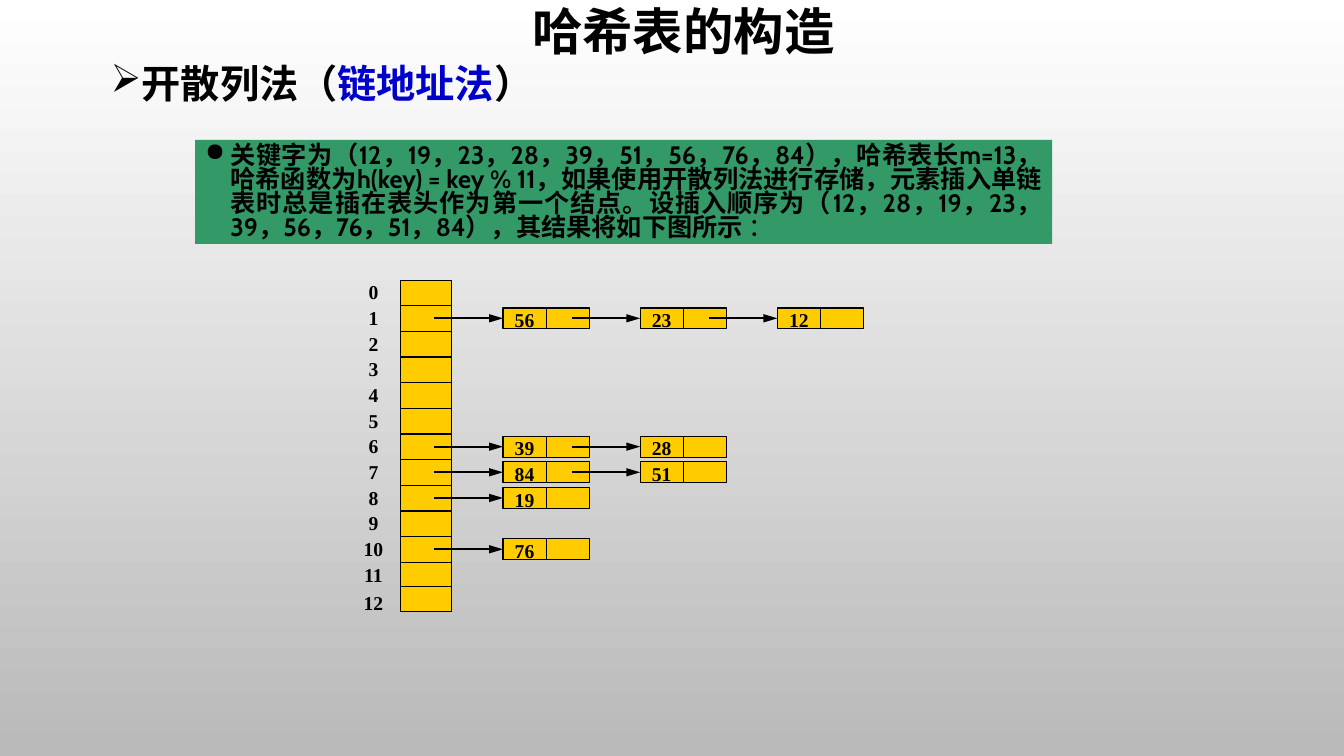
"""Build the slide on hash tables with separate chaining."""
from dataclasses import dataclass, field
from typing import Any

from lxml.etree import SubElement
from pptx import Presentation
from pptx.dml.color import RGBColor
from pptx.dml.fill import FillFormat
from pptx.enum.shapes import MSO_CONNECTOR as Connector, MSO_SHAPE as Preset
from pptx.enum.text import MSO_ANCHOR as Anchor, PP_ALIGN as Align
from pptx.oxml.ns import qn
from pptx.slide import Slide
from pptx.text.text import TextFrame
from pptx.util import Pt

BLACK, BLUE, GREEN, GOLD = "000000", "0000CC", "339966", "FFCC00"
NO_INSETS = dict.fromkeys(
    ("margin_left", "margin_top", "margin_right", "margin_bottom"), Pt(0))
HEADING = {"name": "Cabin", "size": Pt(36), "bold": True}
SUBHEADING = HEADING | {"size": Pt(28)}
EXAMPLE = HEADING | {"size": Pt(18)}
NUMBER = {"name": "Times New Roman", "size": Pt(14), "bold": True}

SLOT_LEFT, SLOT_TOP, SLOT_PITCH = 285.84, 200.16, 18.33
SLOT_WIDTH, SLOT_HEIGHT, LABEL_LEFT = 36.72, 18, 248.4
LAST_SLOT, LAST_SLOT_TOP, LAST_LABEL_TOP = 12, 419, 421.9
NODE_LEFT, NODE_PITCH, NODE_DROP = 359.28, 98, 1.5
HALF_WIDTH, HALF_HEIGHT = 30.8, 15
ARROW_LEFT, ARROW_LENGTH, ARROW_DROP = 310.3, 49, 8.9
CHAINS = {1: (56, 23, 12), 6: (39, 28), 7: (84, 51), 8: (19,), 10: (76,)}


@dataclass
class Box:
    left: float
    top: float
    width: float
    height: float

    def lengths(self) -> list[Pt]:
        return [Pt(v) for v in (self.left, self.top, self.width, self.height)]


@dataclass
class Words:
    text: str
    font: dict[str, Any]
    colour: str = BLACK


@dataclass
class Passage:
    words: list[Words]
    paragraph: dict[str, Any] = field(
        default_factory=lambda: {"alignment": Align.CENTER})
    frame: dict[str, Any] = field(default_factory=lambda: NO_INSETS)
    bullet: str = ""


def rgb(value: str) -> RGBColor:
    return RGBColor.from_string(value)


def paint(fill: FillFormat, value: str) -> None:
    fill.solid()
    fill.fore_color.rgb = rgb(value)


def apply(target: Any, formats: dict[str, Any]) -> None:
    for name, value in formats.items():
        setattr(target, name, value)


def write(frame: TextFrame, passage: Passage) -> None:
    apply(frame, {"word_wrap": True, "vertical_anchor": Anchor.TOP} | passage.frame)
    paragraph = frame.paragraphs[0]
    if passage.bullet:
        properties = paragraph._p.get_or_add_pPr()
        properties.set("marL", str(Pt(18)))
        properties.set("indent", str(Pt(-18)))
        tint = SubElement(properties, qn("a:buClr"))
        SubElement(tint, qn("a:srgbClr"), val=BLACK)
        SubElement(properties, qn("a:buChar"), char=passage.bullet)
    apply(paragraph, passage.paragraph)
    for words in passage.words:
        run = paragraph.add_run()
        run.text = words.text
        apply(run.font, words.font)
        paint(run.font.fill, words.colour)


def add_text(slide: Slide, box: Box, passage: Passage) -> None:
    write(slide.shapes.add_textbox(*box.lengths()).text_frame, passage)


def add_panel(slide: Slide, box: Box, colour: str, outlined: bool = True,
              passage: Passage | None = None) -> None:
    panel = slide.shapes.add_shape(Preset.RECTANGLE, *box.lengths())
    panel.shadow.inherit = False
    paint(panel.fill, colour)
    if outlined:
        paint(panel.line.fill, BLACK)
        panel.line.width = Pt(0.75)
    else:
        panel.line.fill.background()
    if passage:
        write(panel.text_frame, passage)


def add_pointer(slide: Slide, left: float, y: float) -> None:
    pointer = slide.shapes.add_connector(
        Connector.STRAIGHT, Pt(left), Pt(y), Pt(left + ARROW_LENGTH), Pt(y))
    paint(pointer.line.fill, BLACK)
    pointer.line.width = Pt(1.5)
    properties = pointer.element.spPr
    SubElement(properties.find(qn("a:ln")), qn("a:tailEnd"),
               type="triangle", w="med", len="lg")
    SubElement(properties, qn("a:effectLst"))


def number(value: int) -> Passage:
    return Passage([Words(str(value), NUMBER)])


def draw_table(slide: Slide) -> None:
    for index in range(LAST_SLOT + 1):
        slot_top = label_top = SLOT_TOP + index * SLOT_PITCH
        if index == LAST_SLOT:
            slot_top, label_top = LAST_SLOT_TOP, LAST_LABEL_TOP
        add_text(slide, Box(LABEL_LEFT, label_top, SLOT_WIDTH, SLOT_HEIGHT),
                 number(index))
        add_panel(slide, Box(SLOT_LEFT, slot_top, SLOT_WIDTH, SLOT_HEIGHT), GOLD)


def draw_chain(slide: Slide, index: int, keys: tuple[int, ...]) -> None:
    slot_top = SLOT_TOP + index * SLOT_PITCH
    for place, key in enumerate(keys):
        left = NODE_LEFT + place * NODE_PITCH
        for half, passage in enumerate((number(key), None)):
            add_panel(slide, Box(left + half * HALF_WIDTH, slot_top + NODE_DROP,
                                 HALF_WIDTH, HALF_HEIGHT), GOLD, passage=passage)
    for place in range(len(keys)):
        add_pointer(slide, ARROW_LEFT + place * NODE_PITCH, slot_top + ARROW_DROP)


def draw_background(slide: Slide) -> None:
    backdrop = slide.background.fill
    backdrop.gradient()
    backdrop.gradient_angle = 270
    for stop, shade, position in zip(
            backdrop.gradient_stops, ("FFFFFF", "B9B9B9"), (0, 1)):
        stop.color.rgb = rgb(shade)
        stop.position = position


def main() -> None:
    deck = Presentation()
    apply(deck, {"slide_width": Pt(960), "slide_height": Pt(540)})
    slide = deck.slides.add_slide(deck.slide_layouts[6])
    draw_background(slide)
    add_text(slide, Box(80, 0.7, 816, 48.2), Passage(
        [Words("哈希表的构造", HEADING)],
        {"alignment": Align.CENTER, "line_spacing": 0.9},
        {"vertical_anchor": Anchor.MIDDLE}))
    add_text(slide, Box(72, 32.4, 816, 489), Passage(
        [Words("开散列法（", SUBHEADING), Words("链地址法", SUBHEADING, BLUE),
         Words("）", SUBHEADING)],
        {"alignment": Align.LEFT, "line_spacing": 1.2}, {}, "➢"))
    add_panel(slide, Box(139.5, 100, 612, 74.2), GREEN, False, Passage(
        [Words("关键字为（12，19，23，28，39，51，56，76，84），哈希表长m=13，"
               "哈希函数为h(key) = key % 11，如果使用开散列法进行存储，"
               "元素插入单链表时总是插在表头作为第一个结点。"
               "设插入顺序为（12，28，19，23，39，56，76，51，84），"
               "其结果将如下图所示", EXAMPLE),
         Words(" ：", EXAMPLE | {"bold": False})],
        {"alignment": Align.JUSTIFY, "line_spacing": 0.8}, {}, "●"))
    draw_table(slide)
    for index, keys in CHAINS.items():
        draw_chain(slide, index, keys)
    deck.save("out.pptx")


if __name__ == "__main__":
    main()
